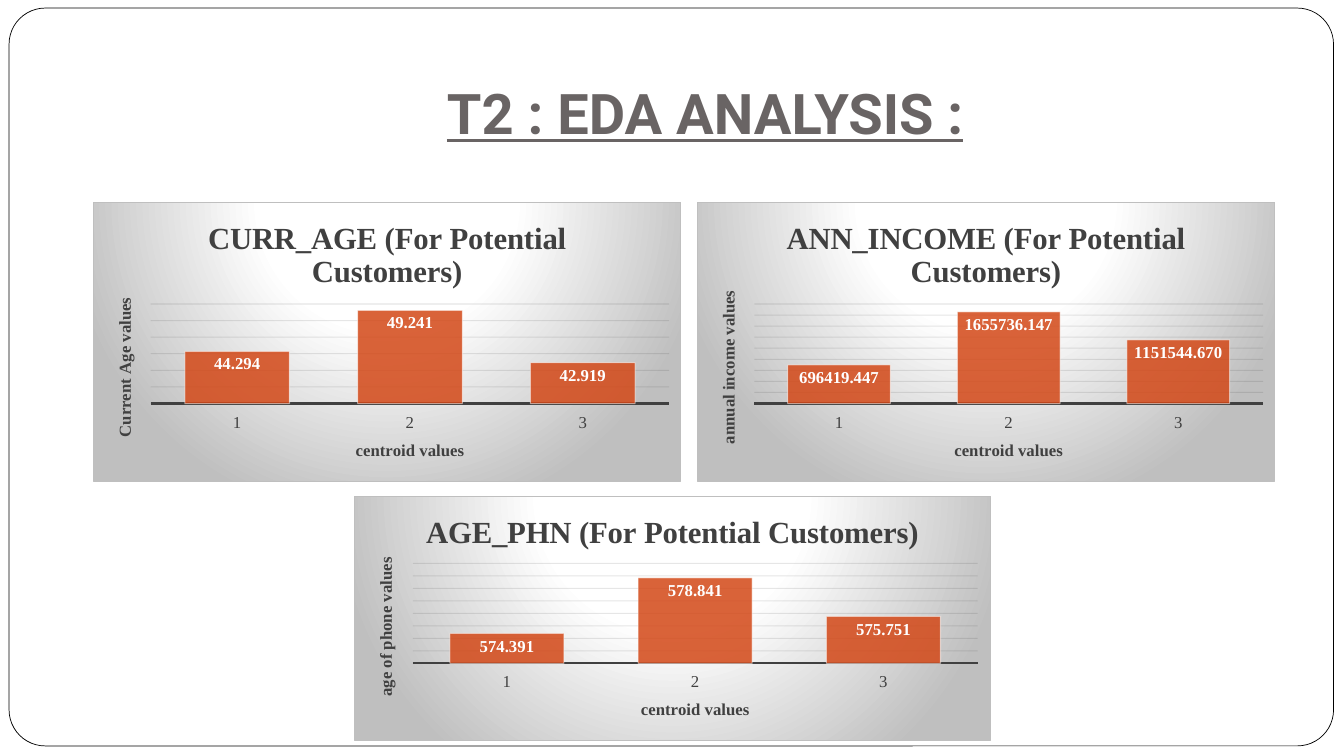
from lxml.etree import SubElement
from pptx import Presentation
from pptx.chart.data import CategoryChartData
from pptx.dml.color import RGBColor
from pptx.enum.chart import XL_CHART_TYPE as ChartType
from pptx.enum.chart import XL_LABEL_POSITION as LabelPosition
from pptx.enum.chart import XL_TICK_LABEL_POSITION as TickLabelPosition
from pptx.enum.chart import XL_TICK_MARK as TickMark
from pptx.enum.shapes import MSO_SHAPE as Shape
from pptx.enum.text import MSO_ANCHOR as Anchor
from pptx.enum.text import PP_ALIGN as Align
from pptx.oxml import parse_xml
from pptx.oxml.ns import nsdecls, qn
from pptx.util import Pt

WHITE = RGBColor(0xFF, 0xFF, 0xFF)
BLACK = RGBColor(0, 0, 0)
HEADING_GRAY = RGBColor(0x69, 0x64, 0x64)
TEXT_GRAY = RGBColor(0x40, 0x40, 0x40)
GRID_GRAY = RGBColor(0x0D, 0x0D, 0x0D)
EDGE_GRAY = RGBColor(0xBF, 0xBF, 0xBF)
ORANGE = RGBColor(0xD3, 0x48, 0x17)
CHART_FONT = "Times New Roman"
NUMBER_FORMAT = "0.000"

# Title, value axis title, values, axis (minimum, maximum, step), box in points
CHARTS = [
    ("CURR_AGE", "Current Age values", (44.294, 49.241, 42.919),
     (38, 50, 2), (66.24, 144, 420.48, 200.16)),
    ("ANN_INCOME", "annual income values", (696419.447, 1655736.147, 1151544.67),
     (0, 1800000, 200000), (497.52, 144, 413.28, 200.16)),
    ("AGE_PHN", "age of phone values", (574.391, 578.841, 575.751),
     (572, 580, 1), (252.72, 354.24, 455.04, 174.96)),
]


def style_font(font, size, color, bold=False, name=CHART_FONT):
    font.name = name
    font.size = Pt(size)
    font.bold = bold
    font.color.rgb = color


def set_opacity(color_element, percent):
    SubElement(color_element, qn("a:alpha"), val=str(percent * 1000))


def add_frame(slide):
    frame = slide.shapes.add_shape(
        Shape.ROUNDED_RECTANGLE, Pt(6.48), Pt(5.76), Pt(946.08), Pt(527.04))
    frame.adjustments[0] = 0.049
    frame.shadow.inherit = False
    frame.fill.solid()
    frame.fill.fore_color.rgb = WHITE
    frame.line.color.rgb = BLACK
    frame.line.width = Pt(0.5)


def add_heading(slide, text):
    box = slide.shapes.add_textbox(Pt(95.76), Pt(21.6), Pt(815.76), Pt(90))
    text_frame = box.text_frame
    text_frame.word_wrap = True
    text_frame.vertical_anchor = Anchor.BOTTOM
    text_frame.margin_bottom = Pt(7.2)
    paragraph = text_frame.paragraphs[0]
    paragraph.text = text
    paragraph.alignment = Align.CENTER
    style_font(paragraph.font, 40, HEADING_GRAY, bold=True, name="Roboto")
    paragraph.font.underline = True


def set_title(title, text, size):
    """Fill in a chart title or an axis title."""
    paragraph = title.text_frame.paragraphs[0]
    paragraph.text = text
    style_font(paragraph.font, size, TEXT_GRAY, bold=True)


def style_background(chart):
    """Give the chart area a radial gradient and a thin border."""
    stops = "".join(
        f'<a:gs pos="{position * 1000}"><a:srgbClr val="{color}"/></a:gs>'
        for position, color in ((0, WHITE), (39, WHITE), (100, EDGE_GRAY)))
    properties = parse_xml(
        f'<c:spPr {nsdecls("c", "a")}>'
        f'<a:gradFill><a:gsLst>{stops}</a:gsLst><a:path path="circle">'
        '<a:fillToRect l="50000" t="-80000" r="50000" b="180000"/></a:path></a:gradFill>'
        f'<a:ln w="{Pt(0.75)}"><a:solidFill><a:srgbClr val="{EDGE_GRAY}"/></a:solidFill></a:ln>'
        '</c:spPr>')
    chart._chartSpace.find(qn("c:chart")).addnext(properties)


def style_axes(chart, value_title, scale):
    category_axis = chart.category_axis
    set_title(category_axis.axis_title, "centroid values", 12)
    category_axis.major_tick_mark = TickMark.NONE
    category_axis.tick_label_position = TickLabelPosition.LOW
    style_font(category_axis.tick_labels.font, 12, TEXT_GRAY)
    category_axis.format.line.color.rgb = TEXT_GRAY
    category_axis.format.line.width = Pt(1.5)

    value_axis = chart.value_axis
    value_axis.minimum_scale, value_axis.maximum_scale, value_axis.major_unit = scale
    value_axis.tick_labels.number_format = NUMBER_FORMAT
    value_axis.tick_labels.number_format_is_linked = False
    set_title(value_axis.axis_title, value_title, 12)
    body = value_axis.axis_title._element.find(".//" + qn("a:bodyPr"))
    body.set("rot", "-5400000")
    body.set("vert", "horz")
    grid_line = value_axis.major_gridlines.format.line
    grid_line.color.rgb = GRID_GRAY
    grid_line.width = Pt(0.75)
    set_opacity(chart._chartSpace.xpath(".//c:majorGridlines//a:srgbClr")[0], 10)
    value_axis.visible = False


def style_columns(plot):
    plot.gap_width = 65
    plot.vary_by_categories = False
    series = plot.series[0]
    series.format.fill.solid()
    series.format.fill.fore_color.rgb = ORANGE
    series.format.line.color.rgb = WHITE
    series.format.line.width = Pt(0.75)
    colors = series._element.xpath("c:spPr//a:srgbClr")
    for color, percent in zip(colors, (85, 50)):
        set_opacity(color, percent)
    labels = series.data_labels
    labels.show_value = True
    labels.position = LabelPosition.INSIDE_END
    labels.number_format = NUMBER_FORMAT
    labels.number_format_is_linked = False
    style_font(labels.font, 12, WHITE, bold=True)


def add_column_chart(slide, measure, value_title, values, scale, box):
    data = CategoryChartData(number_format=NUMBER_FORMAT)
    data.categories = ["1", "2", "3"]
    data.add_series("Series 1", values)
    chart = slide.shapes.add_chart(
        ChartType.COLUMN_CLUSTERED, *map(Pt, box), data).chart
    style_font(chart.font, 10, BLACK)
    chart.has_legend = False
    set_title(chart.chart_title, f"{measure} (For Potential Customers)", 22)
    chart.chart_title.include_in_layout = False
    style_background(chart)
    style_axes(chart, value_title, scale)
    style_columns(chart.plots[0])


def main():
    presentation = Presentation()
    presentation.slide_width = Pt(960)
    presentation.slide_height = Pt(540)
    slide = presentation.slides.add_slide(presentation.slide_layouts[6])
    add_frame(slide)
    add_heading(slide, "T2 : EDA ANALYSIS :")
    for chart_details in CHARTS:
        add_column_chart(slide, *chart_details)
    presentation.save("out.pptx")


if __name__ == "__main__":
    main()
